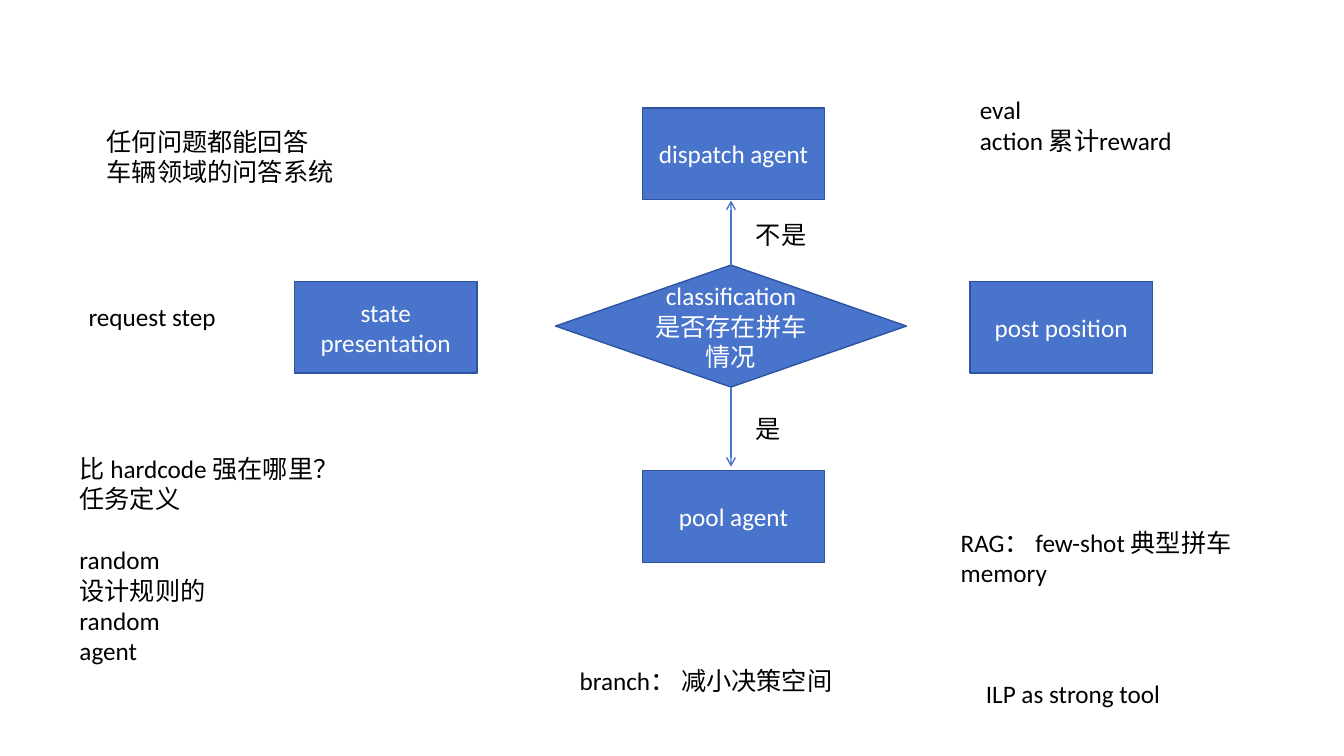
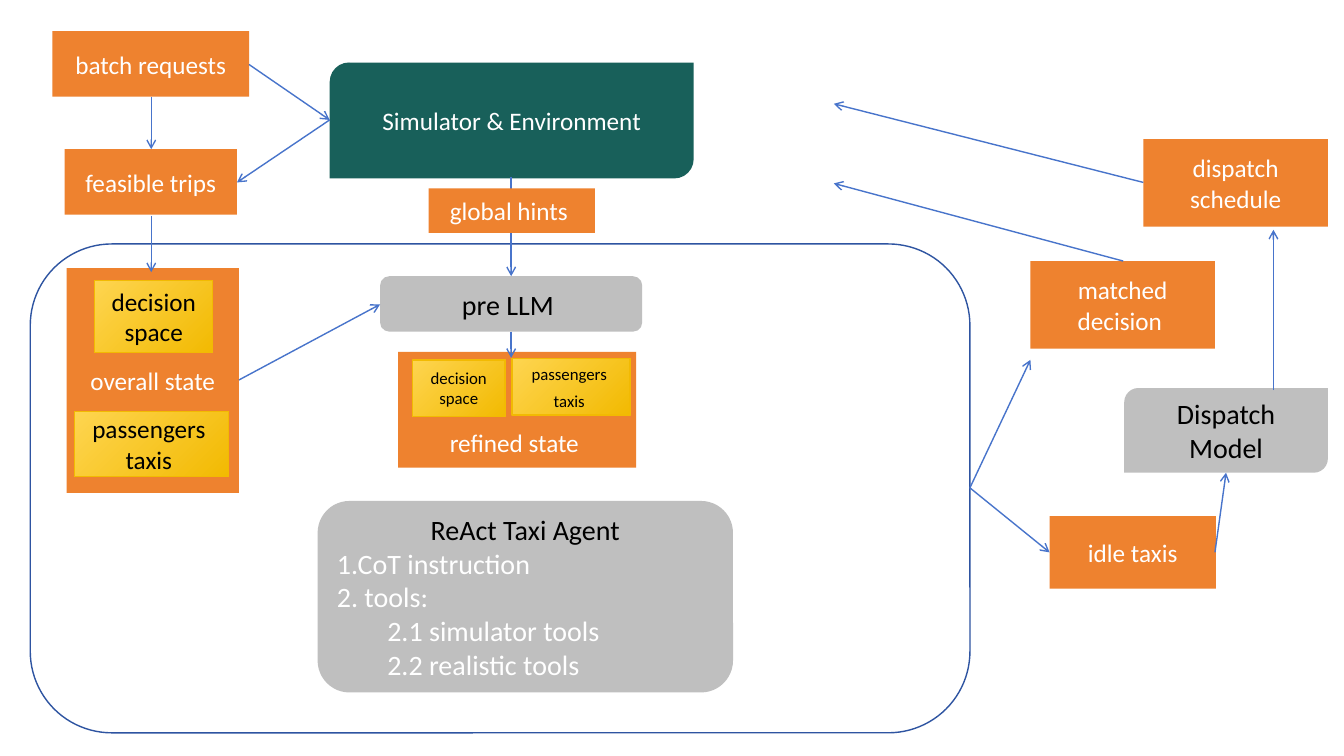
"""Build two flow diagrams of a taxi dispatch agent."""
from dataclasses import dataclass

from lxml.etree import SubElement
from pptx import Presentation
from pptx.dml.color import RGBColor
from pptx.enum.shapes import MSO_CONNECTOR, MSO_SHAPE
from pptx.enum.text import MSO_ANCHOR, PP_ALIGN
from pptx.oxml.ns import qn
from pptx.util import Inches, Pt


@dataclass(frozen=True)
class Theme:
    font: str = "Calibri"
    small: int = 12
    body: int = 18
    large: int = 20
    stroke: int = 1
    black: RGBColor = RGBColor.from_string("000000")
    white: RGBColor = RGBColor.from_string("FFFFFF")
    blue: RGBColor = RGBColor.from_string("4874CB")
    navy: RGBColor = RGBColor.from_string("2E54A1")
    orange: RGBColor = RGBColor.from_string("EE822F")
    grey: RGBColor = RGBColor.from_string("BFBFBF")
    teal: RGBColor = RGBColor.from_string("18605A")
    light_gold: RGBColor = RGBColor.from_string("FED550")
    gold: RGBColor = RGBColor.from_string("F2BA02")


THEME = Theme()
CELL = Inches(0.1)
GOLD_BLEND = (THEME.light_gold, THEME.gold)


def add_block(slide, text, place, kind=None, fill=None, line=None,
              size=THEME.body, color=THEME.white):
    """Add text at (column, row, columns, rows), in a preset shape if kind is given."""
    box = [round(cells * CELL) for cells in place]
    if kind is None:
        shape = slide.shapes.add_textbox(*box)
    else:
        shape = slide.shapes.add_shape(kind, *box)
        shape.shadow.inherit = False
        if fill is None:
            shape.fill.background()
        elif fill is GOLD_BLEND:
            shape.fill.gradient()
            shape.fill.gradient_angle = 315
            for stop, shade in zip(shape.fill.gradient_stops, fill):
                stop.color.rgb = shade
        else:
            shape.fill.solid()
            shape.fill.fore_color.rgb = fill
        if line is None:
            shape.line.fill.background()
        else:
            shape.line.color.rgb = line
            shape.line.width = Pt(THEME.stroke)
    frame = shape.text_frame
    frame.word_wrap = True
    frame.vertical_anchor = MSO_ANCHOR.MIDDLE if kind else MSO_ANCHOR.TOP
    frame.text = text
    for paragraph in frame.paragraphs:
        paragraph.alignment = PP_ALIGN.CENTER if kind else PP_ALIGN.LEFT
        for run in paragraph.runs:
            run.font.name = THEME.font
            run.font.size = Pt(size)
            run.font.color.rgb = color
    return shape


def add_arrow(slide, start, end):
    """Draw an arrow between two (column, row) points."""
    points = [round(cells * CELL) for cells in (*start, *end)]
    arrow = slide.shapes.add_connector(MSO_CONNECTOR.STRAIGHT, *points)
    arrow.line.color.rgb = THEME.blue
    arrow.line.width = Pt(THEME.stroke)
    SubElement(arrow.line._get_or_add_ln(), qn("a:tailEnd"), type="arrow")
    SubElement(arrow._element.spPr, qn("a:effectLst"))


presentation = Presentation()
presentation.slide_width = Inches(13.33)
presentation.slide_height = Inches(7.5)
blank = presentation.slide_layouts[6]

slide = presentation.slides.add_slide(blank)

for text, column, row in (
    ("state presentation", 29.2, 27.9),
    ("post position", 96.2, 27.9),
    ("pool agent", 63.7, 46.7),
    ("dispatch agent", 63.7, 10.7),
):
    add_block(slide, text, (column, row, 18.1, 9.1), kind=MSO_SHAPE.RECTANGLE,
              fill=THEME.blue, line=THEME.navy)
add_block(slide, "classification\n是否存在拼车情况", (55.1, 26.3, 34.8, 12.1),
          kind=MSO_SHAPE.FLOWCHART_DECISION, fill=THEME.blue, line=THEME.navy)

for start_row, end_row in ((38.4, 46.3), (26.3, 19.9)):
    add_arrow(slide, (72.5, start_row), (72.5, end_row))

for text, place in (
    ("request step", (7.8, 29.4, 19.7, 4)),
    ("是", (74, 40.5, 5.7, 4)),
    ("不是", (74, 21.3, 7.6, 4)),
    ("branch： 减小决策空间", (56.5, 65.5, 30.6, 4)),
    ("RAG： few-shot 典型拼车\nmemory", (94.3, 51.8, 32.6, 7.1)),
    ("eval\naction 累计reward", (96.2, 8.9, 44.4, 7.1)),
    ("ILP as strong tool", (96.8, 66.8, 44.4, 4)),
    ("任何问题都能回答\n车辆领域的问答系统", (9.6, 12, 27.5, 7.1)),
):
    add_block(slide, text, place, color=THEME.black)

questions = add_block(
    slide, "比 hardcode 强在哪里？\n任务定义\nrandom\n设计规则的\nrandom\nagent",
    (6.9, 44.5, 32.6, 25.2), color=THEME.black)
questions.text_frame.paragraphs[2].space_before = Pt(22)

slide = presentation.slides.add_slide(blank)

add_block(slide, "", (3, 24.2, 93.2, 48.5), kind=MSO_SHAPE.ROUNDED_RECTANGLE,
          line=THEME.navy)
add_block(slide, "Simulator & Environment", (32.7, 6.2, 36.1, 11.5),
          kind=MSO_SHAPE.ROUND_2_DIAG_RECTANGLE, fill=THEME.teal)

for text, place, kind in (
    ("Dispatch Model", (111.5, 38.5, 20.2, 8.4), MSO_SHAPE.ROUND_2_DIAG_RECTANGLE),
    ("pre LLM ", (37.7, 27.4, 26, 5.5), MSO_SHAPE.ROUNDED_RECTANGLE),
):
    add_block(slide, text, place, kind=kind, fill=THEME.grey,
              size=THEME.large, color=THEME.black)

agent = add_block(
    slide,
    "ReAct Taxi Agent\n1.CoT instruction\n2. tools:\n2.1 simulator tools\n2.2 realistic tools",
    (31.5, 49.7, 41.2, 19), kind=MSO_SHAPE.ROUNDED_RECTANGLE, fill=THEME.grey,
    size=THEME.large)
heading, *steps = agent.text_frame.paragraphs
heading.runs[0].font.color.rgb = THEME.black
for step in steps:
    step.alignment = PP_ALIGN.LEFT
for step in steps[2:]:
    step._p.get_or_add_pPr().set("indent", str(Inches(0.5)))

for text, place in (
    ("batch requests", (5.2, 3.1, 19.5, 6.5)),
    ("feasible trips", (6.4, 14.8, 17.1, 6.5)),
    ("overall state", (6.6, 26.6, 17.1, 22.3)),
    ("matched\ndecision ", (102.2, 25.9, 18.3, 8.7)),
    ("dispatch\nschedule", (113.4, 13.8, 18.3, 8.7)),
    ("idle taxis", (104.1, 51.2, 16.5, 7.2)),
):
    add_block(slide, text, place, kind=MSO_SHAPE.RECTANGLE, fill=THEME.orange)

refined = add_block(slide, "refined state ", (39.5, 34.9, 23.6, 11.5),
                    kind=MSO_SHAPE.RECTANGLE, fill=THEME.orange)
refined.text_frame.vertical_anchor = MSO_ANCHOR.BOTTOM
refined.text_frame.margin_bottom = CELL

for text, place, size, gap in (
    ("decision space", (9.4, 27.8, 11.7, 7.2), THEME.body, 0),
    ("passengers \ntaxis ", (7.4, 40.8, 15.3, 6.5), THEME.body, 0),
    ("decision space", (40.9, 35.7, 9.2, 5.6), THEME.small, 0),
    ("passengers \ntaxis ", (50.8, 35.6, 11.7, 5.6), THEME.small, 5),
):
    panel = add_block(slide, text, place, kind=MSO_SHAPE.RECTANGLE, fill=GOLD_BLEND,
                      line=THEME.gold, size=size, color=THEME.black)
    panel.text_frame.paragraphs[-1].space_before = Pt(gap)

for start, end in (
    ((15, 9.6), (15, 14.8)),
    ((15, 21.4), (15, 27)),
    ((24.7, 6.4), (32.7, 11.9)),
    ((32.7, 11.9), (23.5, 18.1)),
    ((23.7, 37.7), (37.7, 30.2)),
    ((50.7, 17.6), (50.7, 27.4)),
    ((50.7, 32.9), (50.7, 35.5)),
    ((96.2, 48.4), (102.2, 35.7)),
    ((96.2, 48.4), (104.1, 54.8)),
    ((120.5, 54.8), (121.6, 46.9)),
    ((126.3, 38.7), (126.3, 22.8)),
    ((113.4, 18.1), (82.7, 10.3)),
    ((111.4, 25.9), (82.7, 18.2)),
):
    add_arrow(slide, start, end)

add_block(slide, "global hints ", (42.5, 18.7, 16.5, 4.4),
          kind=MSO_SHAPE.RECTANGLE, fill=THEME.orange)

presentation.save("out.pptx")
